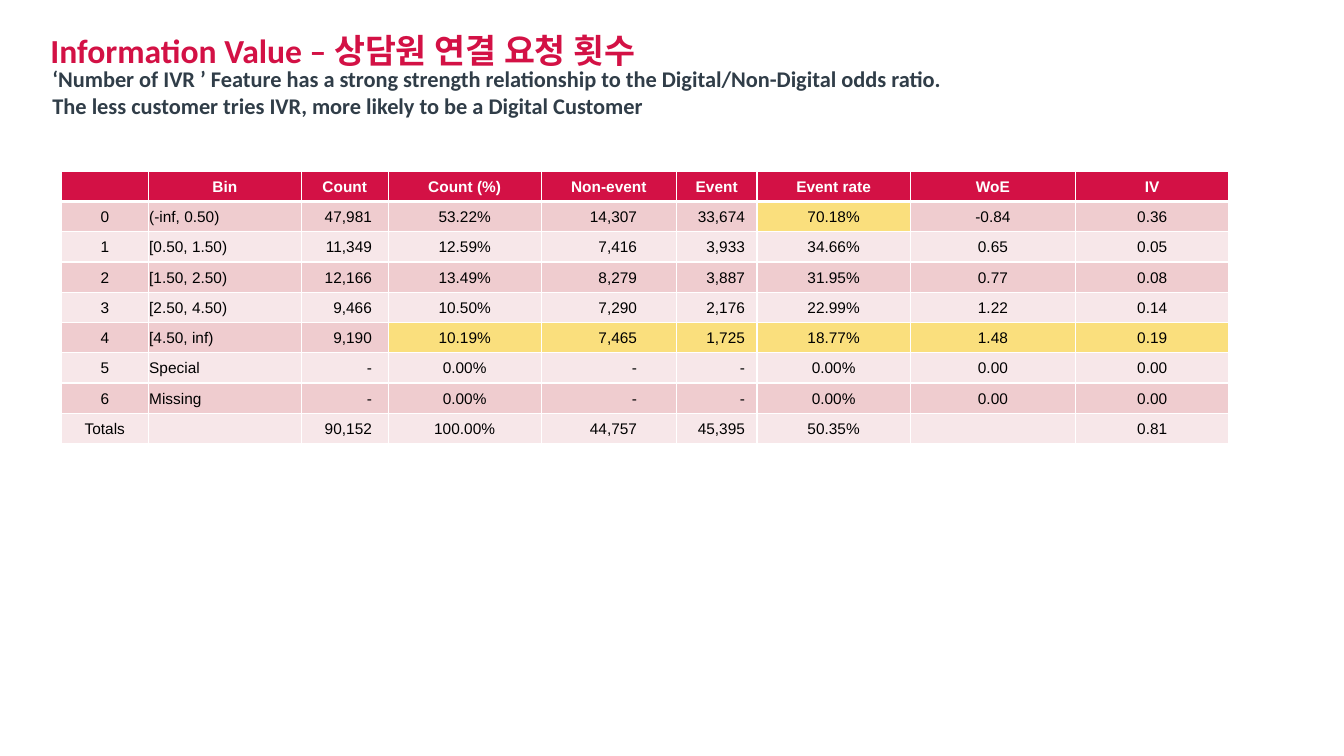
from lxml.etree import SubElement
from pptx import Presentation
from pptx.dml.color import RGBColor
from pptx.enum.text import MSO_ANCHOR, MSO_AUTO_SIZE, PP_ALIGN
from pptx.oxml.ns import qn
from pptx.util import Inches, Pt

RED, SLATE, WHITE, BLACK = "D31145", "303D48", "FFFFFF", "000000"
BANDS, HIGHLIGHT = ("EFCCCF", "F7E7E9"), "FADF7D"

COLUMN_WIDTHS = [0.86, 1.52, 0.86, 1.52, 1.34, 0.8, 1.52, 1.64, 1.52]
ROW_HEIGHT = 0.3
BIN_COLUMN = 1
COUNT_INSETS = {2: 0.16, 4: 0.39, 5: 0.12}  # right margins of the count columns
HIGHLIGHTED = {(1, 6)} | {(5, col) for col in range(3, 9)}
ROWS = [
    ["", "Bin", "Count", "Count (%)", "Non-event", "Event", "Event rate", "WoE", "IV"],
    ["0", "(-inf, 0.50)", "47,981", "53.22%", "14,307", "33,674", "70.18%", "-0.84", "0.36"],
    ["1", "[0.50, 1.50)", "11,349", "12.59%", "7,416", "3,933", "34.66%", "0.65", "0.05"],
    ["2", "[1.50, 2.50)", "12,166", "13.49%", "8,279", "3,887", "31.95%", "0.77", "0.08"],
    ["3", "[2.50, 4.50)", "9,466", "10.50%", "7,290", "2,176", "22.99%", "1.22", "0.14"],
    ["4", "[4.50, inf)", "9,190", "10.19%", "7,465", "1,725", "18.77%", "1.48", "0.19"],
    ["5", "Special", "-", "0.00%", "-", "-", "0.00%", "0.00", "0.00"],
    ["6", "Missing", "-", "0.00%", "-", "-", "0.00%", "0.00", "0.00"],
    ["Totals", "", "90,152", "100.00%", "44,757", "45,395", "50.35%", "", "0.81"],
]


def rgb(value):
    return RGBColor.from_string(value)


def set_borders(cell, **widths):
    """Draw white cell borders, with widths in points keyed by side (L, R, T, B)."""
    tcPr = cell._tc.get_or_add_tcPr()
    for side, width in widths.items():
        ln = SubElement(tcPr, qn(f"a:ln{side}"), w=str(Pt(width)))
        SubElement(SubElement(ln, qn("a:solidFill")), qn("a:srgbClr"), val=WHITE)


class SlideBuilder:
    heading_font = "Calibri"
    table_font = "Arial"

    def __init__(self, slide):
        self.slide = slide

    def style_run(self, r, font, size, color, bold):
        r.font.name, r.font.size, r.font.bold = font, Pt(size), bold
        r.font.color.rgb = rgb(color)

    def set_heading(self, sp, box, text, size, color):
        """Place a shape and fill it with bold, left-aligned heading text."""
        sp.left, sp.top, sp.width, sp.height = map(Inches, box)
        tf = sp.text_frame
        tf.text = text
        tf.word_wrap, tf.auto_size = True, MSO_AUTO_SIZE.NONE
        tf.vertical_anchor = MSO_ANCHOR.TOP
        tf.margin_left = tf.margin_right = tf.margin_top = tf.margin_bottom = 0
        for p in tf.paragraphs:
            p.alignment = PP_ALIGN.LEFT
            for r in p.runs:
                self.style_run(r, self.heading_font, size, color, True)
        return tf

    def title(self, box, text):
        tf = self.set_heading(self.slide.shapes.title, box, text, 24, RED)
        tf.paragraphs[0].line_spacing = 1.25
        tf.paragraphs[0].space_before = Pt(12)

    def text(self, box, text):
        sp = self.slide.shapes.add_textbox(*map(Inches, box))
        self.set_heading(sp, box, text, 16, SLATE)

    def table(self, left, top, rows, widths):
        frame = self.slide.shapes.add_table(
            len(rows), len(widths), Inches(left), Inches(top),
            Inches(sum(widths)), Inches(ROW_HEIGHT * len(rows)))
        table = frame.table
        for column, width in zip(table.columns, widths):
            column.width = Inches(width)
        for i, values in enumerate(rows):
            table.rows[i].height = Inches(ROW_HEIGHT)
            for j, value in enumerate(values):
                self.cell(table.cell(i, j), i, j, value)

    def cell(self, cell, row, col, value):
        header = row == 0
        set_borders(cell, L=1, R=1, T=3 if row == 1 else 1, B=3 if header else 1)
        fill = RED if header else HIGHLIGHT if (row, col) in HIGHLIGHTED else BANDS[(row - 1) % 2]
        cell.fill.solid()
        cell.fill.fore_color.rgb = rgb(fill)
        cell.vertical_anchor = MSO_ANCHOR.MIDDLE
        cell.margin_left = cell.margin_right = cell.margin_top = Inches(0.01)
        cell.margin_bottom = 0
        p = cell.text_frame.paragraphs[0]
        p.alignment = PP_ALIGN.CENTER
        if not header and col == BIN_COLUMN:
            p.alignment = PP_ALIGN.LEFT
        elif not header and col in COUNT_INSETS:
            p.alignment = PP_ALIGN.RIGHT
            cell.margin_right = Inches(COUNT_INSETS[col])
        r = p.add_run()
        r.text = value
        self.style_run(r, self.table_font, 11, WHITE if header else BLACK, header)


def main():
    prs = Presentation()
    prs.slide_width, prs.slide_height = Inches(13.33), Inches(7.5)
    s = SlideBuilder(prs.slides.add_slide(prs.slide_layouts[5]))
    s.title((0.5, 0.2, 11.92, 0.45), "Information Value – 상담원 연결 요청 횟수")
    s.table(0.61, 1.7, ROWS, COLUMN_WIDTHS)
    s.text((0.52, 0.65, 11.75, 0.8),
           "‘Number of IVR ’ Feature has a strong strength relationship to the "
           "Digital/Non-Digital odds ratio.\n"
           "The less customer tries IVR, more likely to be a Digital Customer")
    prs.save("out.pptx")


if __name__ == "__main__":
    main()
